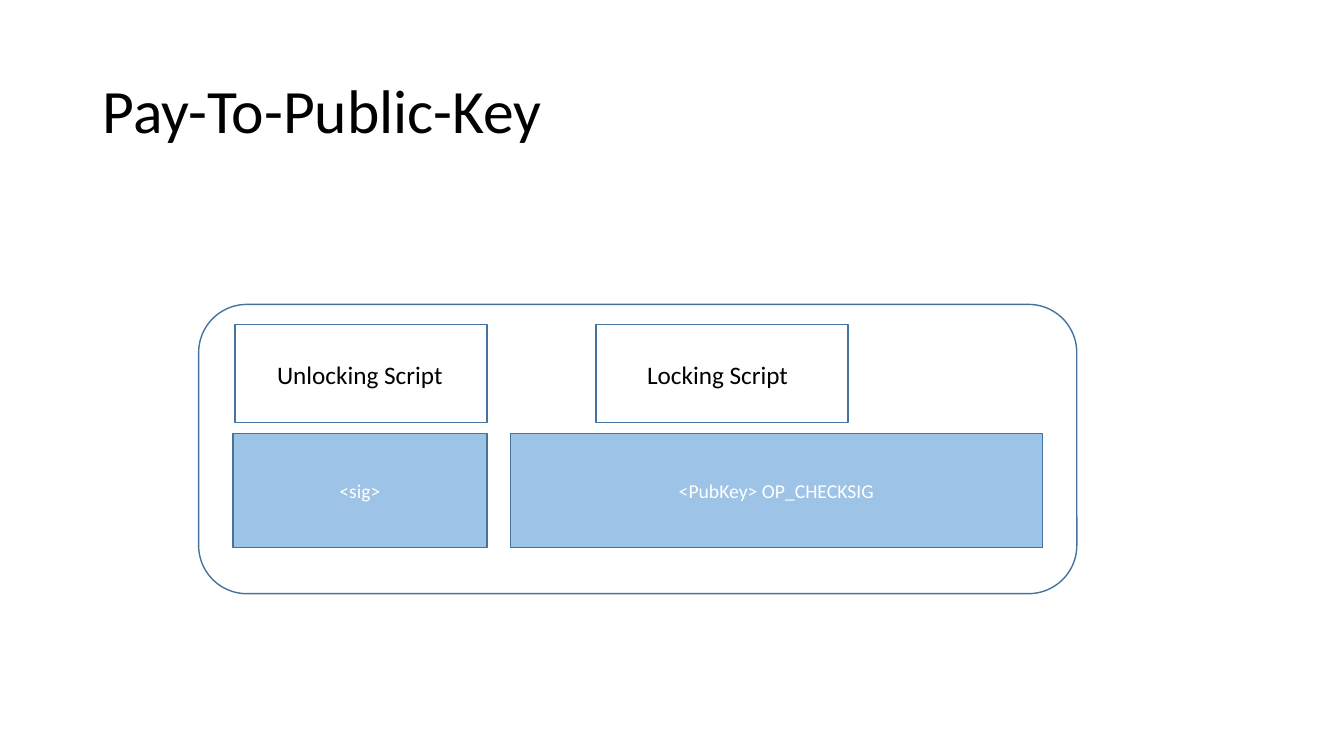
"""Build the Pay-To-Public-Key slide showing an unlocking and a locking script."""
from pptx import Presentation
from pptx.dml.color import RGBColor as RGB
from pptx.enum.shapes import MSO_SHAPE as SHAPE
from pptx.enum.text import MSO_ANCHOR as ANCHOR, MSO_AUTO_SIZE as AUTO, PP_ALIGN as ALIGN
from pptx.util import Inches, Pt

COLORS = {"white": "FFFFFF", "black": "000000", "blue": "9DC3E6", "edge": "43739E"}

prs = Presentation()
prs.slide_width, prs.slide_height = Inches(13.33), Inches(7.5)
s = prs.slides.add_slide(prs.slide_layouts[5])


def place(x, y, w, h):
    """Turn percentages of the slide into a left, top, width, height box."""
    W, H = prs.slide_width, prs.slide_height
    return [int(v * side / 100) for v, side in ((x, W), (y, H), (w, W), (h, H))]


def write(sp, text, size, color, align, anchor):
    """Put one formatted paragraph in a shape."""
    tf = sp.text_frame
    tf.word_wrap = True
    tf.vertical_anchor = anchor
    p = tf.paragraphs[0]
    p.text = text
    p.alignment = align
    p.font.name = "Calibri"
    p.font.size = Pt(size)
    p.font.color.rgb = RGB.from_string(COLORS[color])


title = s.shapes.title
title.left, title.top, title.width, title.height = place(6.9, 5.33, 86.25, 19.33)
write(title, "Pay-To-Public-Key", 44, "black", ALIGN.LEFT, ANCHOR.MIDDLE)
title.text_frame.auto_size = AUTO.NONE
title.text_frame.paragraphs[0].line_spacing = 0.9

label_y, label_w, label_h = 42.93, 18.75, 12.93
code_y, code_h = 57.33, 15.07
boxes = [
    (SHAPE.ROUNDED_RECTANGLE, (14.78, 40.27, 65.34, 38.27), "white", None),
    (SHAPE.RECTANGLE, (17.48, label_y, label_w, label_h), "white", None),
    (SHAPE.RECTANGLE, (44.34, label_y, label_w, label_h), "white", None),
    (SHAPE.RECTANGLE, (17.33, code_y, 18.9, code_h), "blue", "<sig>"),
    (SHAPE.RECTANGLE, (37.96, code_y, 39.61, code_h), "blue", "<PubKey> OP_CHECKSIG"),
]
for kind, box, fill, text in boxes:
    sp = s.shapes.add_shape(kind, *place(*box))
    sp.shadow.inherit = False
    sp.fill.solid()
    sp.fill.fore_color.rgb = RGB.from_string(COLORS[fill])
    sp.line.color.rgb = RGB.from_string(COLORS["edge"])
    sp.line.width = Pt(1)
    if text:
        write(sp, text, 14, "white", ALIGN.CENTER, ANCHOR.MIDDLE)

for text, x, w, h in [("Unlocking Script", 19.88, 13.88, 9.47),
                      ("Locking Script", 47.41, 12.6, 5.33)]:
    sp = s.shapes.add_textbox(*place(x, 46.93, w, h))
    write(sp, text, 18, "black", ALIGN.LEFT, ANCHOR.TOP)

prs.save("out.pptx")
